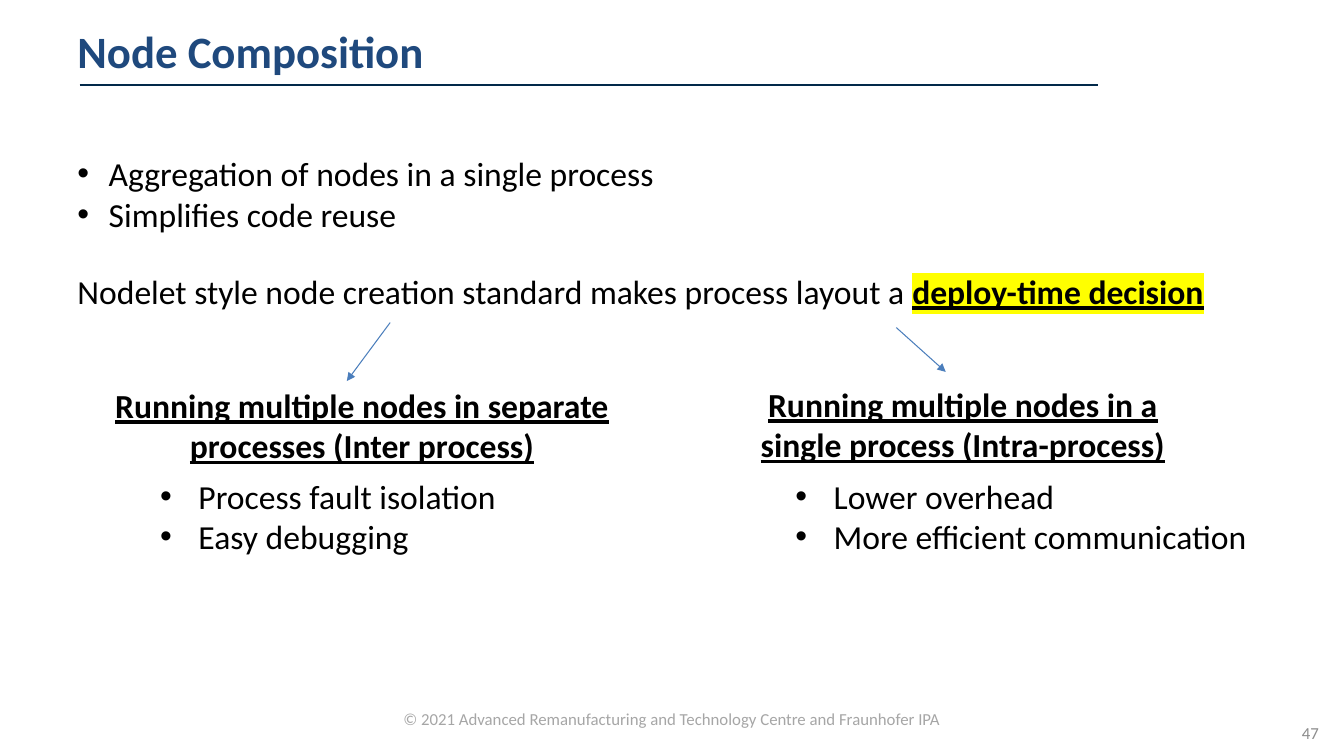
from lxml import etree
from pptx import Presentation
from pptx import util as u
from pptx.dml.color import RGBColor
from pptx.enum import shapes, text
from pptx.oxml.ns import qn

BLACK = RGBColor(0x00, 0x00, 0x00)
NAVY = RGBColor(0x1F, 0x49, 0x7D)
DARK = RGBColor(0x02, 0x29, 0x4A)
BLUE = RGBColor(0x4B, 0x7E, 0xBC)
PALE = RGBColor(0xA6, 0xA6, 0xA6)
GREY = RGBColor(0x8C, 0x8C, 0x8C)
MARK = RGBColor(0xFF, 0xFF, 0x00)

LEFT, MID, RIGHT = text.PP_ALIGN.LEFT, text.PP_ALIGN.CENTER, text.PP_ALIGN.RIGHT
BODY = {"size": u.Pt(24), "name": "Calibri"}
HEAD = {**BODY, "bold": True, "underline": True}
TITLE = {**BODY, "size": u.Pt(32), "bold": True}
SMALL = {**BODY, "size": u.Pt(12)}

BOXES = [
    {"at": (0.71, 6.98, 11.91, 0.3), "font": SMALL, "ink": PALE, "align": MID,
     "lines": ["© 2021 Advanced Remanufacturing and Technology Centre and Fraunhofer IPA"]},
    {"at": (0.67, 0.17, 10.22, 0.67), "font": TITLE, "ink": NAVY, "centre": True,
     "lines": ["Node Composition"]},
    {"at": (12.53, 7.14, 0.65, 0.25), "font": SMALL, "ink": GREY, "align": RIGHT,
     "centre": True, "lines": ["47"]},
    {"at": (0.67, 1.47, 5.97, 0.91), "indent": 0.31, "wrap": False,
     "lines": ["Aggregation of nodes in a single process", "Simplifies code reuse"]},
    {"at": (0.67, 2.64, 11.48, 0.5), "wrap": False, "key": "deploy-time decision",
     "lines": ["Nodelet style node creation standard makes process layout a "]},
    {"at": (0.85, 3.77, 5.48, 0.91), "font": HEAD, "align": MID,
     "lines": ["Running multiple nodes in separate processes (Inter process)"]},
    {"at": (7.12, 3.76, 4.86, 0.91), "font": HEAD, "align": MID,
     "lines": ["Running multiple nodes in a single process (Intra-process)"]},
    {"at": (1.49, 4.67, 4.35, 0.91), "indent": 0.38,
     "lines": ["Process fault isolation", "Easy debugging"]},
    {"at": (7.79, 4.67, 4.75, 0.91), "indent": 0.38,
     "lines": ["Lower overhead", "More efficient communication"]},
]
LINES = [
    ((0.79, 0.84, 10.89, 0.84), DARK, 1.5, False),
    ((3.87, 3.2, 3.44, 3.78), BLUE, 0.75, True),
    ((8.89, 3.25, 9.38, 3.69), BLUE, 0.75, True),
]


def add_run(para, words, font, ink):
    run = para.add_run()
    run.text = words
    for name, value in font.items():
        setattr(run.font, name, value)
    run.font.color.rgb = ink
    return run


def mark(run):
    fill = run.font._element.find(qn("a:solidFill"))
    light = etree.Element(qn("a:highlight"))
    etree.SubElement(light, qn("a:srgbClr")).set("val", str(MARK))
    fill.addnext(light)


def bullet(para, indent):
    props = para._p.get_or_add_pPr()
    props.set("marL", str(u.Inches(indent)))
    props.set("indent", str(-u.Inches(indent)))
    etree.SubElement(props, qn("a:buFont")).set("typeface", "Arial")
    etree.SubElement(props, qn("a:buChar")).set("char", "•")


def add_box(slide, box):
    frame = slide.shapes.add_textbox(*map(u.Inches, box["at"])).text_frame
    frame.word_wrap = box.get("wrap", True)
    if box.get("centre"):
        frame.vertical_anchor = text.MSO_ANCHOR.MIDDLE
    font, ink = box.get("font", BODY), box.get("ink", BLACK)
    for i, words in enumerate(box["lines"]):
        para = frame.add_paragraph() if i else frame.paragraphs[0]
        para.alignment = box.get("align", LEFT)
        if "indent" in box:
            bullet(para, box["indent"])
        add_run(para, words, font, ink)
    if "key" in box:
        mark(add_run(para, box["key"], HEAD, ink))


def add_line(slide, ends, ink, width, arrow):
    line = slide.shapes.add_connector(
        shapes.MSO_CONNECTOR.STRAIGHT, *map(u.Inches, ends))
    line.line.color.rgb = ink
    line.line.width = u.Pt(width)
    if arrow:
        etree.SubElement(line.line._get_or_add_ln(), qn("a:tailEnd")).set("type", "triangle")
    etree.SubElement(line._element.spPr, qn("a:effectLst"))


def main():
    deck = Presentation()
    deck.slide_width, deck.slide_height = u.Inches(13.33), u.Inches(7.5)
    slide = deck.slides.add_slide(deck.slide_layouts[6])
    for line in LINES:
        add_line(slide, *line)
    for box in BOXES:
        add_box(slide, box)
    deck.save("out.pptx")


if __name__ == "__main__":
    main()
